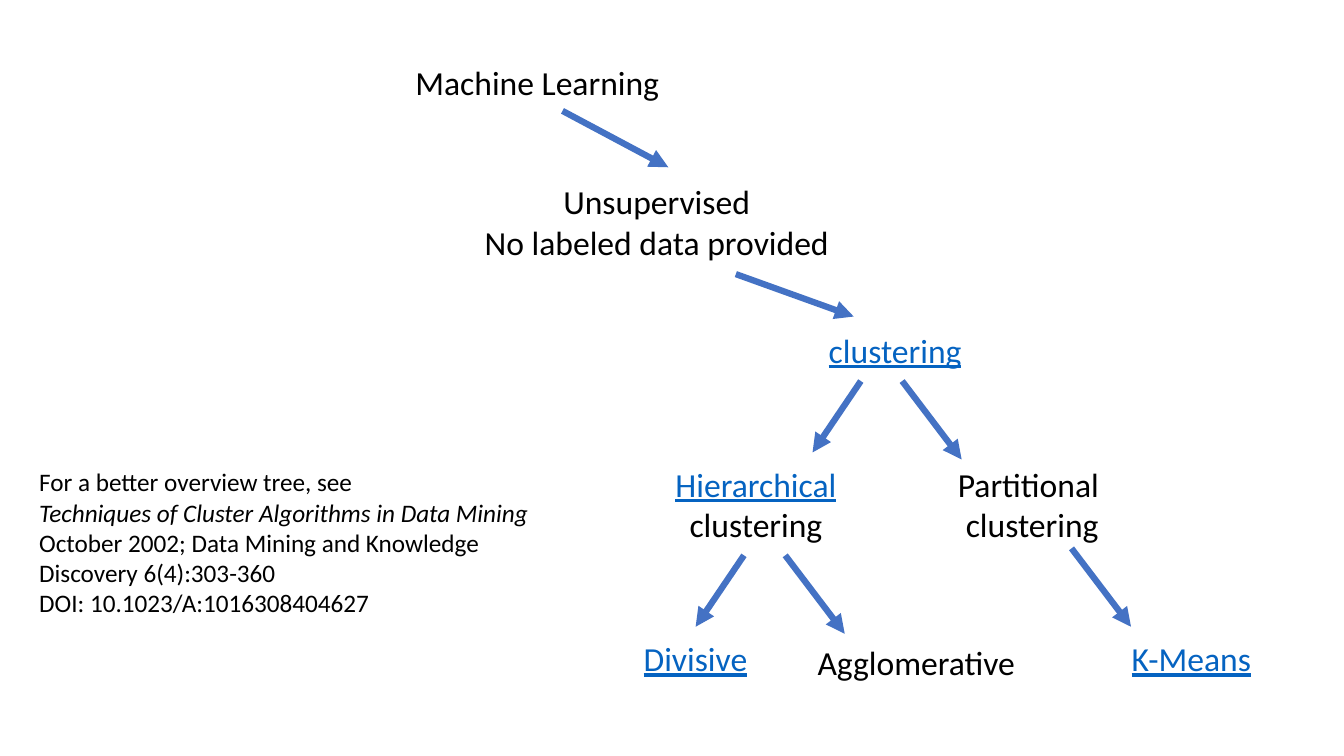
"""Build a slide with a tree of unsupervised learning methods and a reading note."""
from typing import NamedTuple

from lxml import etree
from pptx import Presentation
from pptx import util as u
from pptx.dml.color import RGBColor
from pptx.enum import shapes, text
from pptx.oxml import ns

BLACK = RGBColor(0x00, 0x00, 0x00)
LINK_BLUE = RGBColor(0x05, 0x63, 0xC1)
ARROW_BLUE = RGBColor(0x44, 0x72, 0xC4)
PLAIN = {"name": "Calibri", "size": u.Pt(24)}
LINKED = PLAIN | {"underline": True}
CITATION = PLAIN | {"size": u.Pt(18)}
CITED_TITLE = CITATION | {"italic": True}


class Line(NamedTuple):
    wording: str
    font: dict = PLAIN
    color: RGBColor = BLACK


class Label(NamedTuple):
    left: float
    top: float
    lines: list[Line]
    width: float = 216
    height: float = 36
    align: text.PP_ALIGN = text.PP_ALIGN.CENTER


class Arrow(NamedTuple):
    x: float
    y: float
    run: float
    drop: float


def linked(wording: str) -> Line:
    return Line(wording, LINKED, LINK_BLUE)


def draw_label(slide, label: Label) -> None:
    box = slide.shapes.add_textbox(
        *map(u.Pt, (label.left, label.top, label.width, label.height)))
    frame = box.text_frame
    frame.word_wrap = True
    frame.auto_size = text.MSO_AUTO_SIZE.SHAPE_TO_FIT_TEXT
    for index, line in enumerate(label.lines):
        paragraph = frame.add_paragraph() if index else frame.paragraphs[0]
        paragraph.alignment = label.align
        wording = paragraph.add_run()
        wording.text = line.wording
        for attribute, value in line.font.items():
            setattr(wording.font, attribute, value)
        wording.font.color.rgb = line.color


def draw_arrow(slide, arrow: Arrow) -> None:
    x, y, run, drop = arrow
    branch = slide.shapes.add_connector(
        shapes.MSO_CONNECTOR.STRAIGHT, *map(u.Pt, (x, y, x + run, y + drop)))
    branch.line.color.rgb = ARROW_BLUE
    branch.line.width = u.Pt(4.5)
    etree.SubElement(branch.line._get_or_add_ln(), ns.qn("a:tailEnd"), type="triangle")
    etree.SubElement(branch._element.spPr, ns.qn("a:effectLst"))


TO_LEFT = (-34.5, 51)
TO_RIGHT = (42.5, 56)
METHOD_TOP = 327.6
ALGORITHM_TOP = 452.2

LABELS = [
    Label(275.8, 41, [Line("Machine Learning")]),
    Label(324.7, 126, [Line("Unsupervised"), Line("No labeled data provided")], 288.7, 65.5),
    Label(531.4, 231.8, [linked("clustering")]),
    Label(432, METHOD_TOP, [linked("Hierarchical"), Line("clustering")], height=65.5),
    Label(629.3, METHOD_TOP, [Line("Partitional "), Line("clustering")], height=65.5),
    Label(388.8, ALGORITHM_TOP, [linked("Divisive")]),
    Label(546.5, 455, [Line("Agglomerative")]),
    Label(743, ALGORITHM_TOP, [linked("K-Means")]),
    Label(20.9, 329.8, [
        Line("For a better overview tree, see", CITATION),
        Line("Techniques of Cluster Algorithms in Data Mining", CITED_TITLE),
        Line("October 2002;\u00a0Data Mining and Knowledge Discovery 6(4):303-360", CITATION),
        Line("DOI:\u00a010.1023/A:1016308404627", CITATION),
    ], 373.7, 116.6, text.PP_ALIGN.LEFT),
]
ARROWS = [
    Arrow(401.8, 79.2, 75.6, 40.3),
    Arrow(525.6, 195.8, 84.2, 30.3),
    Arrow(614.9, 272.2, *TO_LEFT),
    Arrow(644.4, 272.2, *TO_RIGHT),
    Arrow(531.4, 396.7, *TO_LEFT),
    Arrow(560.9, 396.7, *TO_RIGHT),
    Arrow(765.4, 391.7, *TO_RIGHT),
]

deck = Presentation()
deck.slide_width, deck.slide_height = u.Pt(960), u.Pt(540)
tree_slide = deck.slides.add_slide(deck.slide_layouts[6])
for label in LABELS:
    draw_label(tree_slide, label)
for arrow in ARROWS:
    draw_arrow(tree_slide, arrow)
deck.save("out.pptx")
